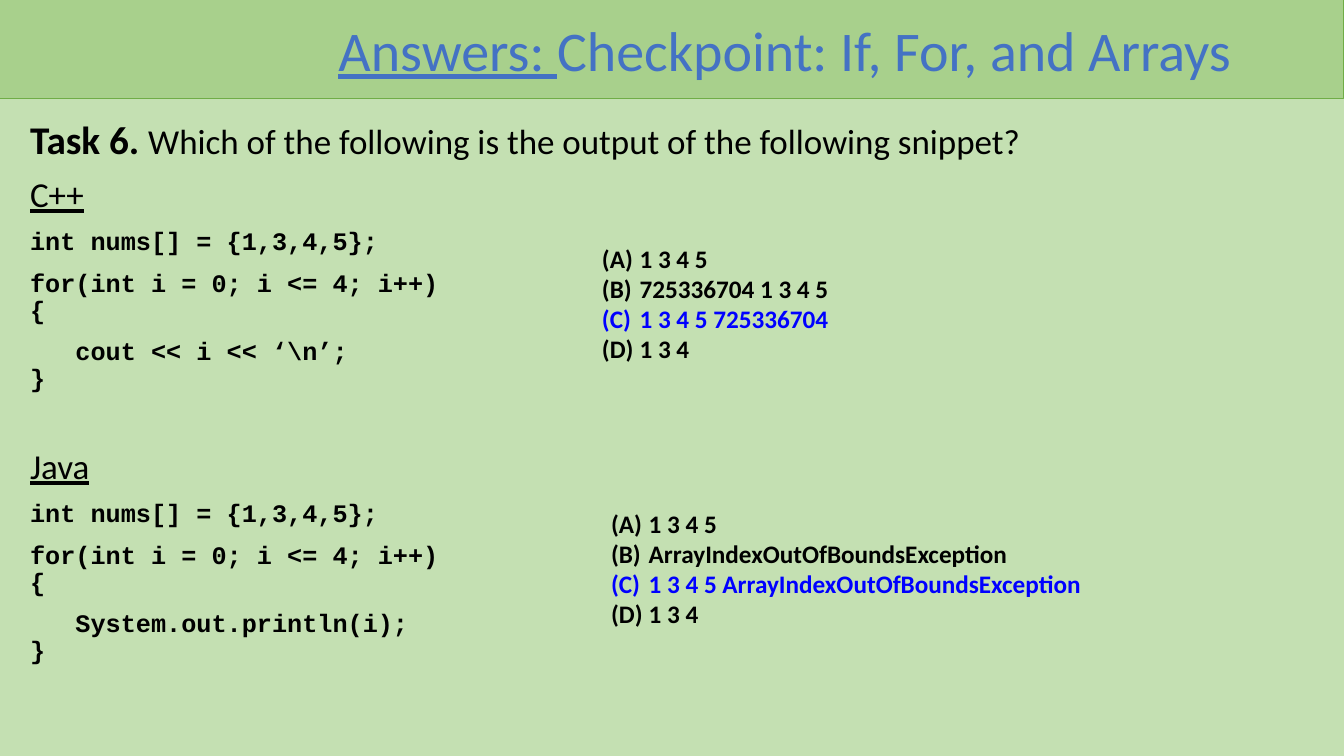
"""Builds the answer slide for Task 6 of the If, For, and Arrays checkpoint."""
from lxml import etree
from pptx import Presentation
from pptx.dml.color import RGBColor
from pptx.enum.shapes import MSO_SHAPE
from pptx.oxml.ns import qn
from pptx.util import Cm, Pt

RECTANGLE = MSO_SHAPE.RECTANGLE
PALE_GREEN = RGBColor(0xC4, 0xE0, 0xB2)
BAND_GREEN = RGBColor(0xA8, 0xD0, 0x8C)
EDGE_GREEN = RGBColor(0x70, 0xAD, 0x47)
TITLE_BLUE = RGBColor(0x44, 0x72, 0xC4)
ANSWER_BLUE = RGBColor(0x00, 0x00, 0xFF)
BLACK = RGBColor(0x00, 0x00, 0x00)

WIDTH, HEIGHT, BAND_HEIGHT = 33.87, 19.05, 2.49
SIDE_INSET, TOP_INSET = 0.25, 0.13
LINE_SPACING, GAP, SNIPPET_GAP = 0.9, 10, 40

STYLES = {
    "title lead": ("Calibri", 40, False, True, TITLE_BLUE),
    "title": ("Calibri", 40, False, False, TITLE_BLUE),
    "task": ("Calibri", 28, True, False, BLACK),
    "question": ("Calibri", 25, False, False, BLACK),
    "language": ("Calibri", 25, False, True, BLACK),
    "code": ("Courier New", 18, True, False, BLACK),
    "choice": ("Calibri", 18, True, False, BLACK),
    "correct": ("Calibri", 18, True, False, ANSWER_BLUE),
}
TITLE = [("Answers: ", "title lead"), ("Checkpoint: If, For, and Arrays", "title")]
TASK = [
    ("Task 6. ", "task"),
    ("Which of the following is the output of the following snippet?", "question"),
]
SNIPPETS = {
    "C++": "cout << i << ‘\\n’;",
    "Java": "System.out.println(i);",
}
CORRECT = 2
CHOICES = [
    ((14.6, 5.87, 13.72, 6.48),
     ["1 3 4 5", "725336704 1 3 4 5", "1 3 4 5 725336704", "1 3 4"]),
    ((14.83, 12.55, 16.94, 6.48),
     ["1 3 4 5", "ArrayIndexOutOfBoundsException",
      "1 3 4 5 ArrayIndexOutOfBoundsException", "1 3 4"]),
]


def add_rectangle(page, top, height, color):
    """Add a full-width filled rectangle."""
    shape = page.shapes.add_shape(RECTANGLE, 0, Cm(top), Cm(WIDTH), Cm(height))
    shape.shadow.inherit = False
    shape.fill.solid()
    shape.fill.fore_color.rgb = color
    shape.line.fill.background()
    return shape


def add_frame(page, place, vertical_inset=TOP_INSET):
    """Add a wrapping text box and return its text frame."""
    frame = page.shapes.add_textbox(*map(Cm, place)).text_frame
    frame.word_wrap = True
    frame.margin_left = frame.margin_right = Cm(SIDE_INSET)
    frame.margin_top = frame.margin_bottom = Cm(vertical_inset)
    return frame


def next_para(frame, index):
    """Return the first paragraph, or a new one after it."""
    return frame.add_paragraph() if index else frame.paragraphs[0]


def write(para, spans):
    """Write the spans into a paragraph and format them by style."""
    para.text = ""
    for text, style in spans:
        name, size, bold, underline, color = STYLES[style]
        for number, line in enumerate(text.split("\n")):
            if number:
                para.add_line_break()
            span = para.add_run()
            span.text = line
            span.font.name, span.font.size = name, Pt(size)
            span.font.bold, span.font.underline = bold, underline
            span.font.color.rgb = color


def add_letter(para, color):
    """Number a paragraph with a letter in brackets."""
    properties = para._p.get_or_add_pPr()
    properties.set("marL", str(Cm(1.27)))
    properties.set("indent", str(-Cm(0.95)))
    tint = etree.SubElement(properties, qn("a:buClr"))
    etree.SubElement(tint, qn("a:srgbClr"), val=str(color))
    etree.SubElement(properties, qn("a:buAutoNum"), type="alphaUcParenBoth")


def add_task(page):
    """Add the question and both code snippets."""
    lines = [(TASK, 0)]
    for number, (language, statement) in enumerate(SNIPPETS.items()):
        lines.append(([(language, "language")], SNIPPET_GAP if number else GAP))
        for code in ("int nums[] = {1,3,4,5};",
                     "for(int i = 0; i <= 4; i++)\n{",
                     f"   {statement}\n}}"):
            lines.append(([(code, "code")], GAP))
    frame = add_frame(page, (0.51, 2.92, 33.02, 15.8))
    for index, (spans, gap) in enumerate(lines):
        para = next_para(frame, index)
        para.line_spacing = LINE_SPACING
        para.space_before = Pt(gap)
        write(para, spans)


def add_choices(page, place, choices):
    """Add one lettered list of answers."""
    frame = add_frame(page, place, SIDE_INSET)
    for index, choice in enumerate(choices):
        style = "correct" if index == CORRECT else "choice"
        para = next_para(frame, index)
        add_letter(para, STYLES[style][-1])
        write(para, [(choice, style)])


def main():
    """Build and save the deck."""
    deck = Presentation()
    deck.slide_width, deck.slide_height = Cm(WIDTH), Cm(HEIGHT)
    page = deck.slides.add_slide(deck.slide_layouts[6])
    add_rectangle(page, 0.03, HEIGHT - 0.03, PALE_GREEN)
    band = add_rectangle(page, 0, BAND_HEIGHT, BAND_GREEN)
    band.line.color.rgb = EDGE_GREEN
    band.line.width = Pt(0.75)
    write(add_frame(page, (8.28, 0.25, 25.22, 1.96)).paragraphs[0], TITLE)
    add_task(page)
    for place, choices in CHOICES:
        add_choices(page, place, choices)
    deck.save("out.pptx")


if __name__ == "__main__":
    main()
